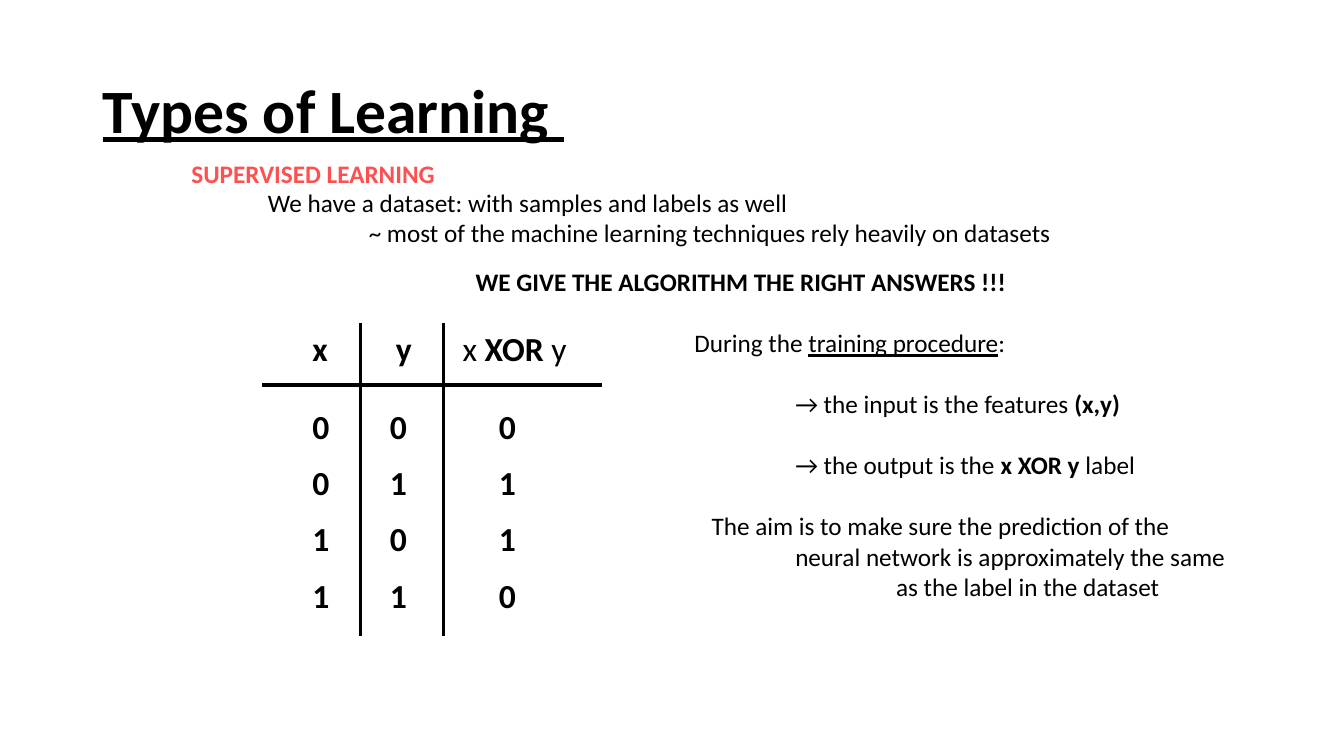
from dataclasses import dataclass
from itertools import product

from lxml.etree import SubElement
from pptx import Presentation
from pptx.dml.color import RGBColor
from pptx.enum.shapes import MSO_CONNECTOR as Connector
from pptx.enum.text import MSO_ANCHOR as Anchor, PP_ALIGN as Align
from pptx.oxml.ns import qn
from pptx.util import Inches, Pt


@dataclass(frozen=True)
class Theme:
    font: str = "Calibri"
    ink: RGBColor = RGBColor(0, 0, 0)
    accent: RGBColor = RGBColor(0xFF, 0x50, 0x50)
    title: int = 44
    table: int = 24
    body: int = 18
    rule: float = 2.25


THEME = Theme()
WIDTH, HEIGHT = Inches(13.33), Inches(7.5)
INDENT = Inches(1)
BLANK_LINE = Pt(22)


def across(share):
    """Percent of the slide width."""
    return round(WIDTH * share / 100)


def down(share):
    """Percent of the slide height."""
    return round(HEIGHT * share / 100)


def style(font, size, color=THEME.ink, bold=False, underline=False):
    font.name, font.size = THEME.font, Pt(size)
    font.bold, font.underline = bold, underline
    font.color.rgb = color


def write_line(paragraph, parts, size, color=THEME.ink, indent=0, gap=0):
    """Each part is (text, marks): b is bold, u is underlined."""
    paragraph._p.get_or_add_pPr().set("marL", str(round(INDENT * indent)))
    paragraph.alignment = Align.LEFT
    if gap:
        paragraph.space_before = gap
    for text, marks in parts:
        run = paragraph.add_run()
        run.text = text
        style(run.font, size, color, "b" in marks, "u" in marks)


def add_text(slide, left, top, width, height, lines, size=THEME.body, color=THEME.ink):
    """Each line is (parts, indent, gap before)."""
    frame = slide.shapes.add_textbox(
        across(left), down(top), across(width), down(height)).text_frame
    frame.word_wrap = True
    for index, (parts, indent, gap) in enumerate(lines):
        paragraph = frame.add_paragraph() if index else frame.paragraphs[0]
        write_line(paragraph, parts, size, color, indent, gap)


def add_rule(slide, x1, y1, x2, y2):
    rule = slide.shapes.add_connector(
        Connector.STRAIGHT, across(x1), down(y1), across(x2), down(y2))
    rule.line.color.rgb = THEME.ink
    rule.line.width = Pt(THEME.rule)
    SubElement(rule._element.spPr, qn("a:effectLst"))


def add_title(slide, text):
    title = slide.shapes.title
    title.left, title.top = across(6.9), down(5.33)
    title.width, title.height = across(86.25), down(19.33)
    frame = title.text_frame
    frame.text = text
    frame.vertical_anchor = Anchor.MIDDLE
    heading = frame.paragraphs[0]
    heading.alignment, heading.line_spacing = Align.LEFT, 0.9
    style(heading.runs[0].font, THEME.title, bold=True, underline=True)


def add_truth_table(slide):
    top, bottom = 42.67, 84.13
    first_row, row_step = 53, 7.45

    # Ruling
    add_rule(slide, 19.5, 50.93, 44.78, 50.93)
    for x in (26.85, 33):
        add_rule(slide, x, top, x, bottom)

    # Header
    headers = [(22.5, [("x", "b")]), (28.73, [("y", "b")]),
               (33.68, [("x ", ""), ("XOR ", "b"), ("y", "")])]
    for left, parts in headers:
        add_text(slide, left, top, 10, 6.67, [(parts, 0, 0)], THEME.table)

    # Values
    for row, (x, y) in enumerate(product((0, 1), repeat=2)):
        for left, value in zip((22.5, 28.28, 36.38), (x, y, x ^ y)):
            add_text(slide, left, first_row + row * row_step, 4, 6.67,
                     [([(str(value), "b")], 0, 0)], THEME.table)


def main():
    deck = Presentation()
    deck.slide_width, deck.slide_height = WIDTH, HEIGHT
    slide = deck.slides.add_slide(deck.slide_layouts[5])

    add_title(slide, "Types of Learning ")

    # Introduction
    add_text(slide, 13.5, 20.27, 22, 5.33,
             [([("SUPERVISED LEARNING", "b")], 0, 0)], color=THEME.accent)
    add_text(slide, 19.2, 24.13, 62, 9.47, [
        ([("We have a dataset: with samples and labels as well", "")], 0, 0),
        ([("~ most of the machine learning techniques rely heavily on datasets", "")], 1, 0),
    ])
    add_text(slide, 34.65, 34.53, 43, 5.33,
             [([("WE GIVE THE ALGORITHM THE RIGHT ANSWERS !!!", "b")], 0, 0)])

    add_truth_table(slide)

    # Training procedure
    add_text(slide, 50.93, 42.67, 43, 37.73, [
        ([("During the ", ""), ("training procedure", "u"), (":", "")], 0, 0),
        ([("→ the input is the features ", ""), ("(x,y)", "b")], 1, BLANK_LINE),
        ([("→ the output is the ", ""), ("x XOR y", "b"), (" label", "")], 1, BLANK_LINE),
        ([("The aim is to make sure the prediction of the", "")], 0.17, BLANK_LINE),
        ([("neural network is approximately the same", "")], 1, 0),
        ([("as the label in the dataset", "")], 2, 0),
    ])

    deck.save("out.pptx")


if __name__ == "__main__":
    main()
